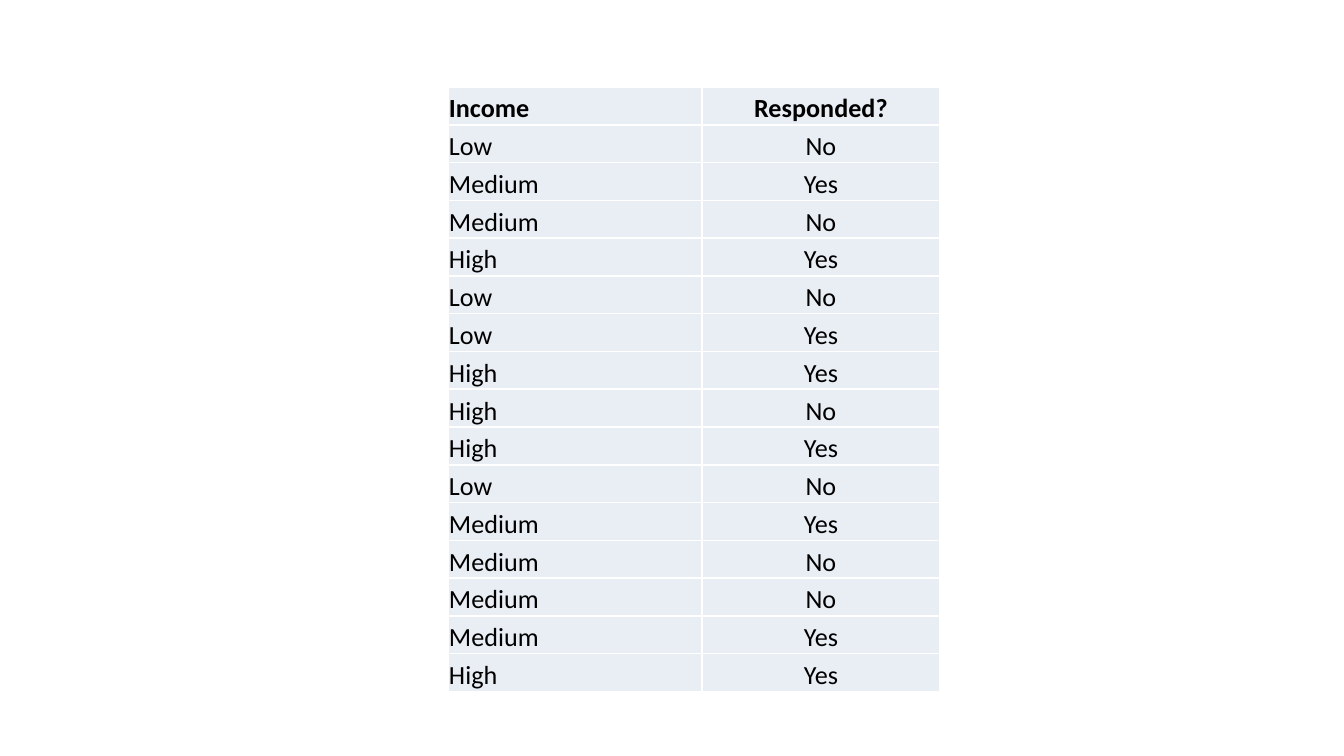
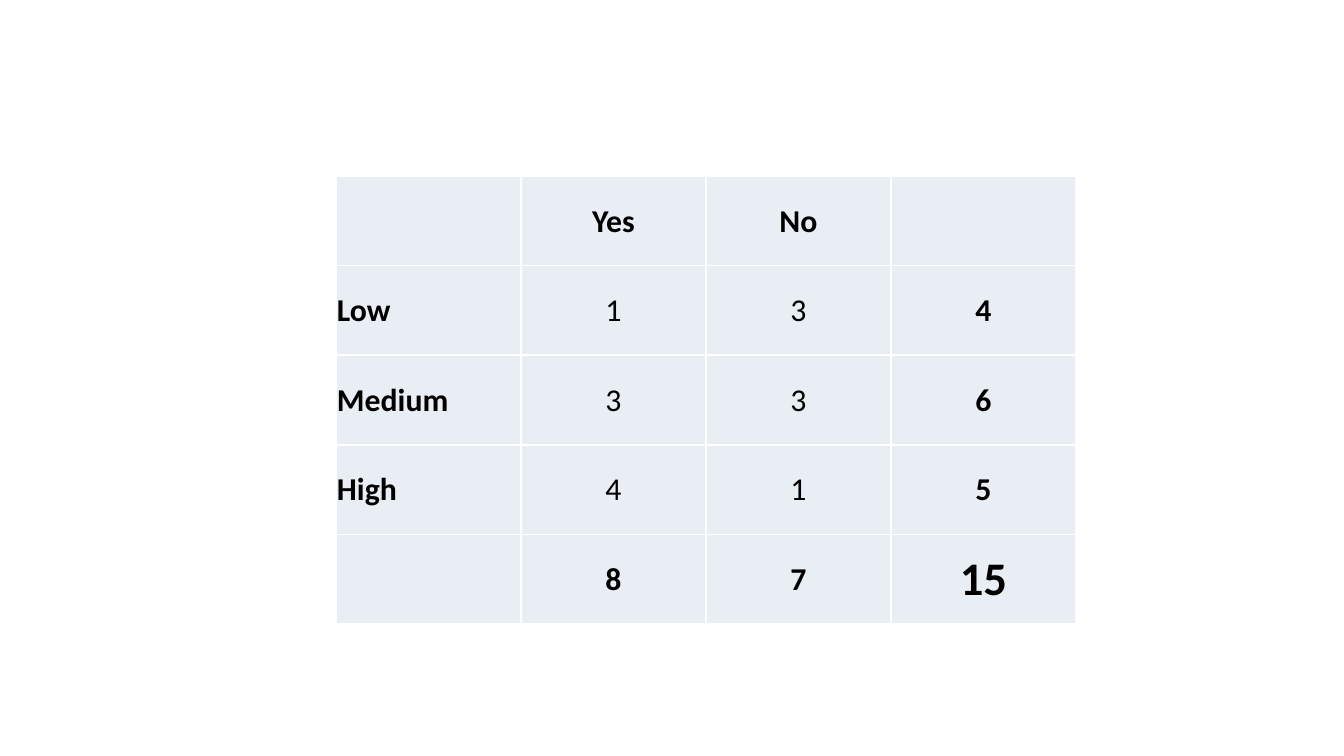
from collections import Counter
from dataclasses import dataclass

from lxml.etree import SubElement
from pptx import Presentation
from pptx.dml.color import RGBColor
from pptx.enum.text import MSO_ANCHOR, PP_ALIGN
from pptx.oxml.ns import qn
from pptx.util import Emu, Pt

EMU_PER_PIXEL = 914400 / 134.4


def px(length: int) -> Emu:
    """Turn pixels into EMU."""
    return Emu(round(length * EMU_PER_PIXEL))


@dataclass(frozen=True)
class Theme:
    """Colours, font and sizes shared by both slides."""
    font: str = "Calibri"
    ink: str = "000000"
    cell: str = "E9EDF4"
    rule: str = "FFFFFF"
    rule_width: int = Pt(1)
    list_size: int = 14
    count_size: int = 17
    total_size: int = 25


THEME = Theme()


@dataclass(frozen=True)
class Entry:
    """Text of one cell and its type style."""
    text: str
    size: int
    bold: bool = False


@dataclass(frozen=True)
class Grid:
    """Place and content of one table; all rows are equally high."""
    left: int
    top: int
    widths: tuple[int, ...]
    height: int
    anchor: MSO_ANCHOR
    rows: list[list[Entry]]


def draw_borders(cell) -> None:
    """Rule all four sides of a cell."""
    properties = cell._tc.get_or_add_tcPr()
    for side in ("a:lnL", "a:lnR", "a:lnT", "a:lnB"):
        line = SubElement(properties, qn(side), w=str(THEME.rule_width))
        fill = SubElement(line, qn("a:solidFill"))
        SubElement(fill, qn("a:srgbClr"), val=THEME.rule)


def draw_cell(cell, entry: Entry, align: PP_ALIGN, anchor: MSO_ANCHOR) -> None:
    """Style one cell and write its text."""
    draw_borders(cell)
    cell.fill.solid()
    cell.fill.fore_color.rgb = RGBColor.from_string(THEME.cell)
    cell.margin_left = cell.margin_right = cell.margin_top = px(1)
    cell.margin_bottom = 0
    cell.vertical_anchor = anchor
    if not entry.text:
        return
    para = cell.text_frame.paragraphs[0]
    para.alignment = align
    span = para.add_run()
    span.text = entry.text
    span.font.name = THEME.font
    span.font.size = Pt(entry.size)
    span.font.bold = entry.bold
    span.font.color.rgb = RGBColor.from_string(THEME.ink)


def draw_grid(page, grid: Grid) -> None:
    """Add a table with a left-aligned first column and centred others."""
    frame = page.shapes.add_table(
        len(grid.rows), len(grid.widths), px(grid.left), px(grid.top),
        px(sum(grid.widths)), px(grid.height))
    table = frame.table
    table.first_row = table.horz_banding = False
    for column, width in zip(table.columns, grid.widths):
        column.width = px(width)
    for row, entries in zip(table.rows, grid.rows):
        row.height = Emu(px(grid.height) // len(grid.rows))
        for index, entry in enumerate(entries):
            align = PP_ALIGN.CENTER if index else PP_ALIGN.LEFT
            draw_cell(row.cells[index], entry, align, grid.anchor)


INCOMES = ("Low", "Medium", "High")
ANSWERS = ("Yes", "No")
RESPONSES = [
    ("Low", "No"), ("Medium", "Yes"), ("Medium", "No"), ("High", "Yes"),
    ("Low", "No"), ("Low", "Yes"), ("High", "Yes"), ("High", "No"),
    ("High", "Yes"), ("Low", "No"), ("Medium", "Yes"), ("Medium", "No"),
    ("Medium", "No"), ("Medium", "Yes"), ("High", "Yes"),
]


def response_rows() -> list[list[Entry]]:
    """List every response under a bold heading."""
    lines = [("Income", "Responded?"), *RESPONSES]
    return [[Entry(text, THEME.list_size, bold=number == 0) for text in line]
            for number, line in enumerate(lines)]


def count_rows() -> list[list[Entry]]:
    """Cross-tabulate the responses, with totals at the right and below."""
    pairs = Counter(RESPONSES)
    by_income = Counter(income for income, _ in RESPONSES)
    by_answer = Counter(answer for _, answer in RESPONSES)

    def strong(value, size: int = THEME.count_size) -> Entry:
        """Make a bold entry."""
        return Entry(str(value), size, bold=True)

    rows = [[strong(text) for text in ("", *ANSWERS, "")]]
    for income in INCOMES:
        counts = [Entry(str(pairs[income, answer]), THEME.count_size)
                  for answer in ANSWERS]
        rows.append([strong(income), *counts, strong(by_income[income])])
    totals = [strong(by_answer[answer]) for answer in ANSWERS]
    rows.append([strong(""), *totals,
                 strong(len(RESPONSES), THEME.total_size)])
    return rows


def main() -> None:
    """Build and save the deck."""
    deck = Presentation()
    deck.slide_width, deck.slide_height = px(1344), px(756)
    grids = (
        Grid(448, 87, (254, 238), 605, MSO_ANCHOR.BOTTOM, response_rows()),
        Grid(336, 176, (185,) * 4, 448, MSO_ANCHOR.MIDDLE, count_rows()),
    )
    for grid in grids:
        page = deck.slides.add_slide(deck.slide_layouts[6])
        draw_grid(page, grid)
    deck.save("out.pptx")


main()
